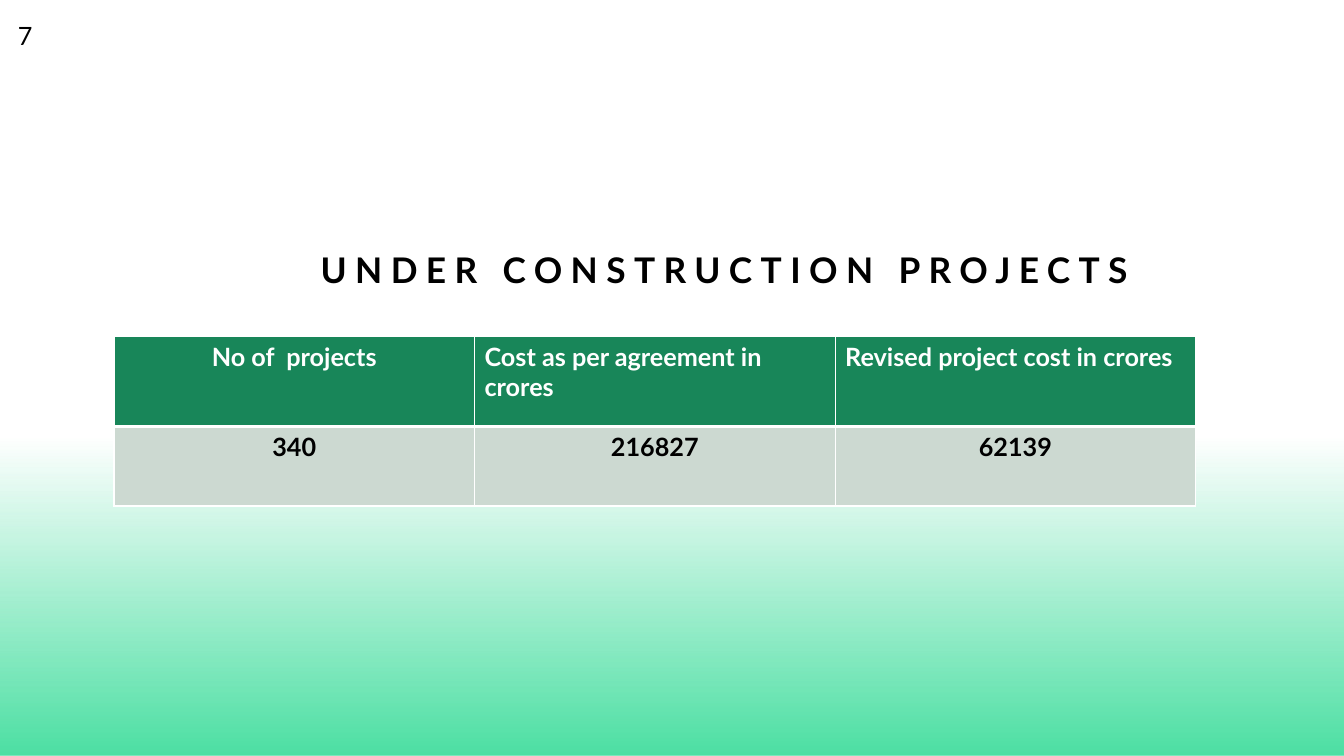
from lxml import etree
from pptx import Presentation
from pptx.dml.color import RGBColor
from pptx.enum.shapes import MSO_SHAPE
from pptx.enum.text import MSO_ANCHOR, MSO_AUTO_SIZE, PP_ALIGN
from pptx.oxml.ns import qn
from pptx.util import Inches, Pt

RECTANGLE = MSO_SHAPE.RECTANGLE
BOTTOM = MSO_ANCHOR.BOTTOM
NO_AUTOFIT = MSO_AUTO_SIZE.NONE
LEFT, CENTER = PP_ALIGN.LEFT, PP_ALIGN.CENTER

BLACK = RGBColor(0x00, 0x00, 0x00)
WHITE = RGBColor(0xFF, 0xFF, 0xFF)
MINT = RGBColor(0x4C, 0xDF, 0xA3)
GREEN = RGBColor(0x18, 0x86, 0x59)
PALE_GREEN = RGBColor(0xCC, 0xD9, 0xD1)


def write_text(paragraph, text, size, color, bold, alignment=LEFT):
    paragraph.alignment = alignment
    run = paragraph.add_run()
    run.text = text
    font_format = {"name": "Lato", "size": Pt(size), "bold": bold}
    for attribute, value in font_format.items():
        setattr(run.font, attribute, value)
    run.font.color.rgb = color
    return run


def add_border(cell, side, width):
    properties = cell._tc.get_or_add_tcPr()
    line = etree.SubElement(properties, qn(f"a:ln{side}"), w=str(Pt(width)))
    fill = etree.SubElement(line, qn("a:solidFill"))
    etree.SubElement(fill, qn("a:srgbClr"), val=str(WHITE))


presentation = Presentation()
presentation.slide_width = Inches(13.33)
presentation.slide_height = Inches(7.5)
slide = presentation.slides.add_slide(presentation.slide_layouts[5])
slide.background.fill.solid()
slide.background.fill.fore_color.rgb = WHITE

glow = slide.shapes.add_shape(
    RECTANGLE, 0, Inches(3.84), presentation.slide_width, Inches(3.66))
glow.shadow.inherit = False
glow.line.fill.background()
glow.fill.gradient()
glow.fill.gradient_angle = 270
for stop, position, opacity in zip(glow.fill.gradient_stops, (0.14, 1), (0, 100000)):
    stop.position = position
    stop.color.rgb = MINT
    color_element = stop._gs.find(qn("a:srgbClr"))
    etree.SubElement(color_element, qn("a:alpha"), val=str(opacity))
slide.shapes._spTree.insert(2, glow._element)

title = slide.shapes.title
title.left, title.top = Inches(3.08), Inches(2.33)
title.width, title.height = Inches(11.25), Inches(0.6)
title.text_frame.vertical_anchor = BOTTOM
title.text_frame.auto_size = NO_AUTOFIT
heading = title.text_frame.paragraphs[0]
heading.line_spacing = 1.2
heading_run = write_text(heading, "UNDER CONSTRUCTION PROJECTS", 25.2, BLACK, True)
heading_run.font._element.set("spc", "600")

rows = [
    {"texts": ["No of  projects", "Cost as per agreement in crores",
               "Revised project cost in crores"],
     "alignments": [CENTER, LEFT, LEFT], "height": 0.89,
     "fill": GREEN, "color": WHITE, "borders": {"L": 1, "R": 1, "T": 1, "B": 3}},
    {"texts": ["340", "216827", "62139"],
     "alignments": [CENTER] * 3, "height": 0.79,
     "fill": PALE_GREEN, "color": BLACK, "borders": {"L": 1, "R": 1, "T": 3, "B": 1}},
]
table = slide.shapes.add_table(
    len(rows), 3, Inches(1.13), Inches(3.34), Inches(10.73), Inches(1.68)).table
for row_index, row in enumerate(rows):
    table.rows[row_index].height = Inches(row["height"])
    for column_index, text in enumerate(row["texts"]):
        cell = table.cell(row_index, column_index)
        for side, width in row["borders"].items():
            add_border(cell, side, width)
        cell.fill.solid()
        cell.fill.fore_color.rgb = row["fill"]
        write_text(cell.text_frame.paragraphs[0], text, 18, row["color"], True,
                   row["alignments"][column_index])

page_number = slide.shapes.add_textbox(
    Inches(0.08), Inches(0.15), Inches(0.46), Inches(0.4))
page_number.text_frame.word_wrap = True
write_text(page_number.text_frame.paragraphs[0], "7", 18, BLACK, False)

presentation.save("out.pptx")
